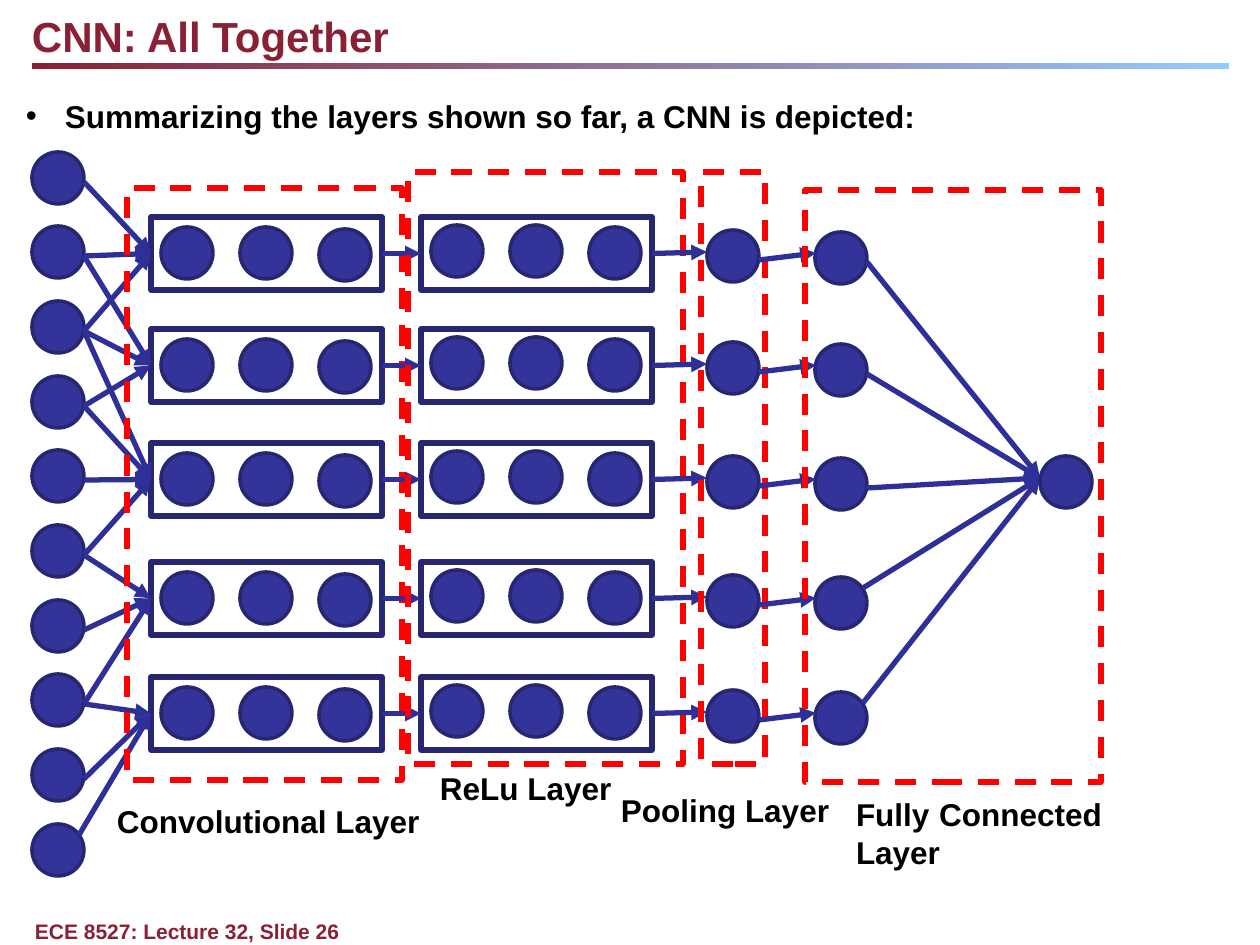
from lxml import etree
from pptx import Presentation
from pptx import util as u
from pptx.dml import color
from pptx.enum import dml, shapes, text
from pptx.oxml import ns

NODE = 52
BOX_WIDTH, BOX_HEIGHT = 231, 73
ROW_TOPS = [217, 329, 443, 562, 677]
FEEDS = [(0, 1, 2), (1, 2, 3), (2, 3, 4, 5), (5, 6, 7), (7, 8, 9)]
MAROON, BLACK, RED = "892034", "000000", "FF0000"
NODE_FILL, OUTLINE, ARROW = "333399", "262671", "2F2F98"


def px(count):
    return u.Emu(round(count * 914400 / 126))


def paint(target, value):
    target.rgb = color.RGBColor.from_string(value)


def add_shape(page, kind, box, fill=None, line=None, weight=3):
    shape = page.shapes.add_shape(kind, *map(px, box))
    shape.shadow.inherit = False
    if fill:
        shape.fill.solid()
        paint(shape.fill.fore_color, fill)
    else:
        shape.fill.background()
    if line:
        paint(shape.line.color, line)
        shape.line.width = u.Pt(weight)
    else:
        shape.line.fill.background()
    return shape


def add_node(page, left, top):
    return add_shape(page, shapes.MSO_SHAPE.OVAL, (left, top, NODE, NODE),
                     NODE_FILL, OUTLINE, 2)


def add_frame(page, box):
    frame = add_shape(page, shapes.MSO_SHAPE.RECTANGLE, box, line=RED)
    frame.line.dash_style = dml.MSO_LINE.DASH


def add_arrow(page, start, end, source=None, target=None):
    arrow = page.shapes.add_connector(shapes.MSO_CONNECTOR.STRAIGHT,
                                      *map(px, (*start, *end)))
    if source:
        arrow.begin_connect(source, 3)
    if target:
        arrow.end_connect(target, 1)
    paint(arrow.line.color, ARROW)
    arrow.line.width = u.Pt(3)
    head = etree.SubElement(arrow.line._get_or_add_ln(), ns.qn("a:tailEnd"))
    head.set("type", "triangle")
    etree.SubElement(arrow._element.spPr, ns.qn("a:effectLst"))


def add_text(page, box, words, size=18, ink=BLACK, align=text.PP_ALIGN.JUSTIFY):
    frame = page.shapes.add_textbox(*map(px, box)).text_frame
    frame.word_wrap = True
    frame.margin_left = frame.margin_right = frame.margin_bottom = 0
    frame.margin_top = px(3)
    para = frame.paragraphs[0]
    para.alignment = align
    span = para.add_run()
    span.text = words
    span.font.name = "Arial"
    span.font.size = u.Pt(size)
    span.font.bold = True
    paint(span.font.color, ink)
    return para


def add_heading(page, box):
    left, top, width, height = box
    add_text(page, (left, top + 8, 945, 50), "CNN: All Together", 24, MAROON,
             text.PP_ALIGN.LEFT)
    rule = add_shape(page, shapes.MSO_SHAPE.RECTANGLE,
                     (left, top + height - 6, width, 6), MAROON)
    rule.fill.gradient()
    rule.fill.gradient_angle = 0
    for stop, value in zip(rule.fill.gradient_stops, (MAROON, "95CAFF")):
        paint(stop.color, value)


def add_summary(page, box):
    para = add_text(page, box,
                    "Summarizing the layers shown so far, a CNN is depicted:")
    settings = para._p.get_or_add_pPr()
    settings.set("marL", str(px(39)))
    settings.set("indent", str(-px(39)))
    etree.SubElement(settings, ns.qn("a:buFont")).set("typeface", "Arial")
    etree.SubElement(settings, ns.qn("a:buChar")).set("char", "•")


def add_inputs(page, box):
    left, top, width, height = box
    count = 10
    starts = []
    for index in range(count):
        node_top = top + (height - NODE) * index // (count - 1)
        add_node(page, left, node_top)
        starts.append((left + NODE, node_top + 30))
    starts[-1] = (left + 47, node_top + 11)
    return starts


def add_banks(page, left, node_drop):
    banks = []
    for top in ROW_TOPS:
        for column, drop in enumerate((0, 0, 2)):
            add_node(page, left + 10 + 79 * column, top + node_drop + drop)
        banks.append(add_shape(page, shapes.MSO_SHAPE.RECTANGLE,
                               (left, top, BOX_WIDTH, BOX_HEIGHT), line=OUTLINE))
    return banks


def add_convolution(page, box, starts):
    left, top, width, height = box
    banks = add_banks(page, left + 24, 10)
    for bank, feed in zip(banks, FEEDS):
        for index in feed:
            add_arrow(page, starts[index], starts[index], target=bank)
    add_frame(page, box)
    add_text(page, (left - 10, top + height + 19, 315, 50), "Convolutional Layer")
    return banks


def add_relu(page, box, sources):
    left, top, width, height = box
    banks = add_banks(page, left + 13, 8)
    for source, bank in zip(sources, banks):
        add_arrow(page, (left, top), (left, top), source, bank)
    add_frame(page, box)
    add_text(page, (left + 32, top + height + 2, 178, 50), "ReLu Layer")
    return banks


def add_pooling(page, box, sources):
    left, top, width, height = box
    for source, row in zip(sources, ROW_TOPS):
        end = (left + 6, row + 35)
        add_arrow(page, end, end, source)
    add_frame(page, box)
    for row in ROW_TOPS:
        add_node(page, left + 6, row + 13)
    add_text(page, (left - 80, top + height + 24, 226, 50), "Pooling Layer")


def add_connected(page, box):
    left, top, width, height = box
    output = (left + 235, top + 266)
    for index, row in enumerate(ROW_TOPS):
        add_node(page, left + 10, row + 15)
        add_arrow(page, (left - 46, row + 43), (left + 11, row + 36))
        start = (left + 62, row + 45) if index < 3 else (left + 58, row + 26)
        add_arrow(page, start, (output[0], output[1] + 22))
    add_node(page, *output)
    add_frame(page, box)
    add_text(page, (left + 51, top + height + 10, 246, 93),
             "Fully Connected Layer")


def main():
    deck = Presentation()
    deck.slide_width, deck.slide_height = px(1260), px(945)
    page = deck.slides.add_slide(deck.slide_layouts[6])
    add_heading(page, (32, 0, 1197, 69))
    add_summary(page, (26, 94, 1188, 44))
    starts = add_inputs(page, (32, 152, NODE, 724))
    convolution = add_convolution(page, (127, 188, 275, 592), starts)
    relu = add_relu(page, (408, 172, 275, 592), convolution)
    add_pooling(page, (701, 172, 64, 592), relu)
    add_connected(page, (805, 190, 296, 592))
    add_text(page, (35, 916, 1124, 25), "ECE 8527: Lecture 32, Slide 26", 12,
             MAROON, text.PP_ALIGN.LEFT)
    deck.save("out.pptx")


if __name__ == "__main__":
    main()
